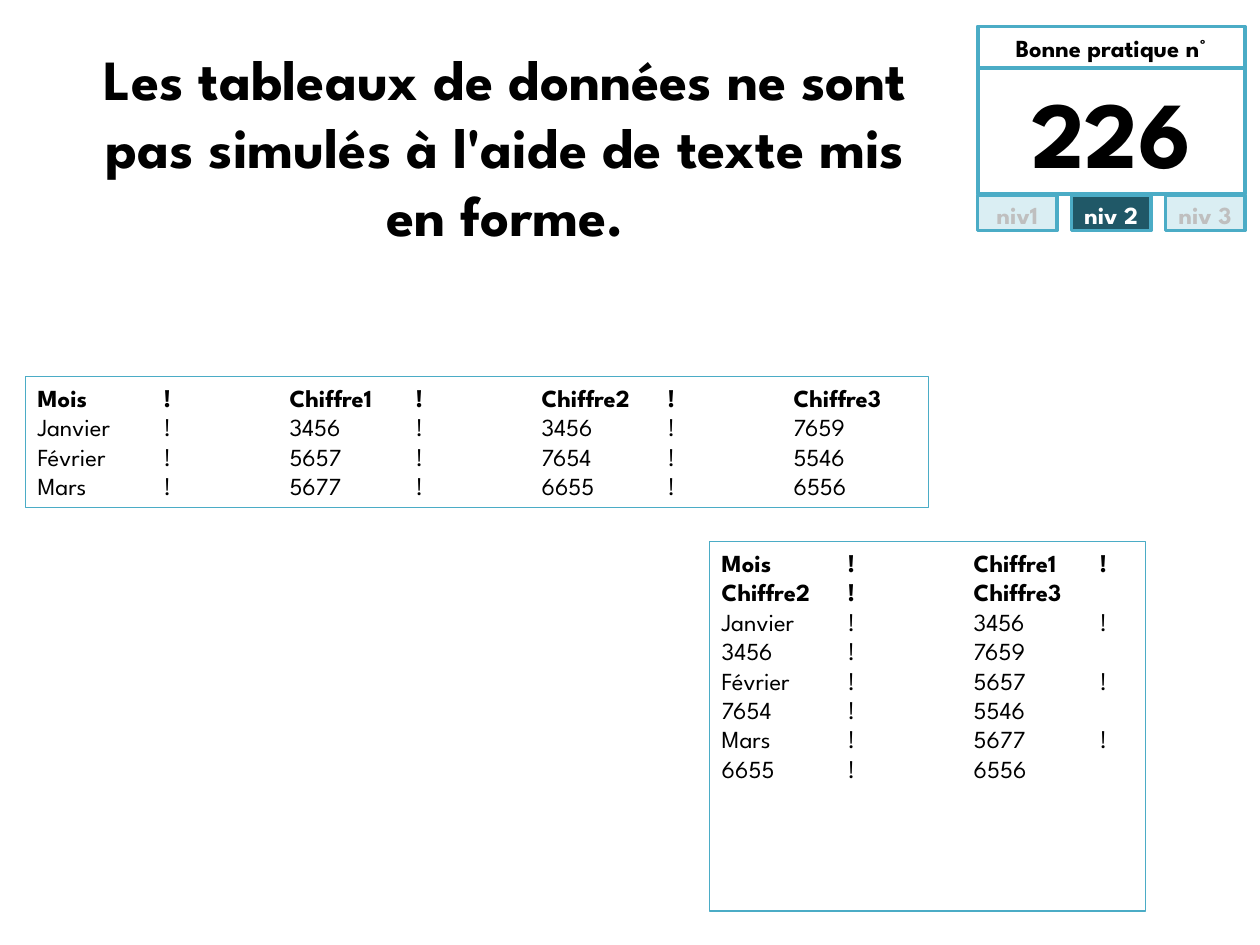
from lxml import etree
from pptx import Presentation
from pptx import util as u
from pptx.dml.color import RGBColor
from pptx.enum import shapes, text
from pptx.oxml import ns

# Content
TITLE = "Les tableaux de données ne sont pas simulés à l'aide de texte mis en forme."
BADGE_LABEL, BADGE_NUMBER = "Bonne pratique n°", "226"
LEVELS = ["niv1", "niv 2", "niv 3"]
ACTIVE_LEVEL = "niv 2"
MONTHS = [
    ("Mois", "Chiffre1", "Chiffre2", "Chiffre3"),
    ("Janvier", "3456", "3456", "7659"),
    ("Février", "5657", "7654", "5546"),
    ("Mars", "5677", "6655", "6556"),
]
SEPARATOR = "\t!\t"

# Style
FONT = "League Spartan"
BLACK = RGBColor(0x00, 0x00, 0x00)
WHITE = RGBColor(0xFF, 0xFF, 0xFF)
TEAL = RGBColor(0x4B, 0xAC, 0xC6)
DARK_TEAL = RGBColor(0x20, 0x58, 0x67)
PALE_TEAL = RGBColor(0xDA, 0xEE, 0xF3)
GREY = RGBColor(0xBF, 0xBF, 0xBF)

# Layout, in inches
SLIDE_W, SLIDE_H = 10, 7.5
BADGE_X, BADGE_W = 7.76, 2.12
LABEL_Y, NUMBER_Y, LEVEL_Y = 0.21, 0.54, 1.55
LEVEL_W, LEVEL_H = 0.63, 0.28
LEVEL_STEP = (BADGE_W - LEVEL_W) / (len(LEVELS) - 1)
FAKE_TABLES = [(0.2, 2.99, 7.17, 1.04), (5.63, 4.3, 3.46, 2.93)]
TAB_STEP = 1

prs = Presentation()
prs.slide_width, prs.slide_height = u.Inches(SLIDE_W), u.Inches(SLIDE_H)
slide = prs.slides.add_slide(prs.slide_layouts[6])


def set_tabs(paragraph, width):
    """Put a tab stop at every step that fits in the width."""
    properties = paragraph._p.get_or_add_pPr()
    properties.set("defTabSz", str(u.Inches(TAB_STEP)))
    tabs = etree.SubElement(properties, ns.qn("a:tabLst"))
    for stop in range(1, int(width / TAB_STEP) + 1):
        etree.SubElement(tabs, ns.qn("a:tab"), pos=str(u.Inches(stop * TAB_STEP)), algn="l")


def add_box(place, lines, size=14, color=BLACK, fill=None, line=None,
            align=text.PP_ALIGN.CENTER, insets=(0.1, 0.05), tabbed=False):
    """Draw a rectangle whose first line of text is bold."""
    box = slide.shapes.add_shape(shapes.MSO_SHAPE.RECTANGLE, *map(u.Inches, place))
    box.shadow.inherit = False
    if fill is None:
        box.fill.background()
    else:
        box.fill.solid()
        box.fill.fore_color.rgb = fill
    if line is None:
        box.line.fill.background()
    else:
        box.line.color.rgb = TEAL
        box.line.width = u.Pt(line)

    frame = box.text_frame
    side, edge = map(u.Inches, insets)
    frame_format = {
        "margin_left": side, "margin_right": side,
        "margin_top": edge, "margin_bottom": edge,
        "word_wrap": True, "vertical_anchor": text.MSO_ANCHOR.TOP,
    }
    for name, value in frame_format.items():
        setattr(frame, name, value)

    for row, words in enumerate(lines):
        paragraph = frame.paragraphs[0] if row == 0 else frame.add_paragraph()
        paragraph.alignment = align
        if tabbed:
            set_tabs(paragraph, place[2] - 2 * insets[0])
        run = paragraph.add_run()
        run.text = words
        run.font.color.rgb = color
        for name, value in {"name": FONT, "size": u.Pt(size), "bold": row == 0}.items():
            setattr(run.font, name, value)


# Badge: label, then levels, with the number drawn over their top edge
add_box((BADGE_X, LABEL_Y, BADGE_W, 0.34), [BADGE_LABEL], fill=WHITE, line=2)
for column, level in enumerate(LEVELS):
    active = level == ACTIVE_LEVEL
    add_box((BADGE_X + column * LEVEL_STEP, LEVEL_Y, LEVEL_W, LEVEL_H), [level],
            color=WHITE if active else GREY,
            fill=DARK_TEAL if active else PALE_TEAL,
            line=2, insets=(0.04, 0.04))

# Title
add_box((0.5, 0.3, 7.02, 1.25), [TITLE], size=32.4, fill=WHITE)

# Badge number
add_box((BADGE_X, NUMBER_Y, BADGE_W, 1), [BADGE_NUMBER], size=54, fill=WHITE, line=2)

# The same tabbed text in a wide frame and in a narrow one, where it wraps
tabbed_rows = [SEPARATOR.join(cells) for cells in MONTHS]
for place in FAKE_TABLES:
    add_box(place, tabbed_rows, line=0.75, align=text.PP_ALIGN.LEFT, tabbed=True)

prs.save("out.pptx")
